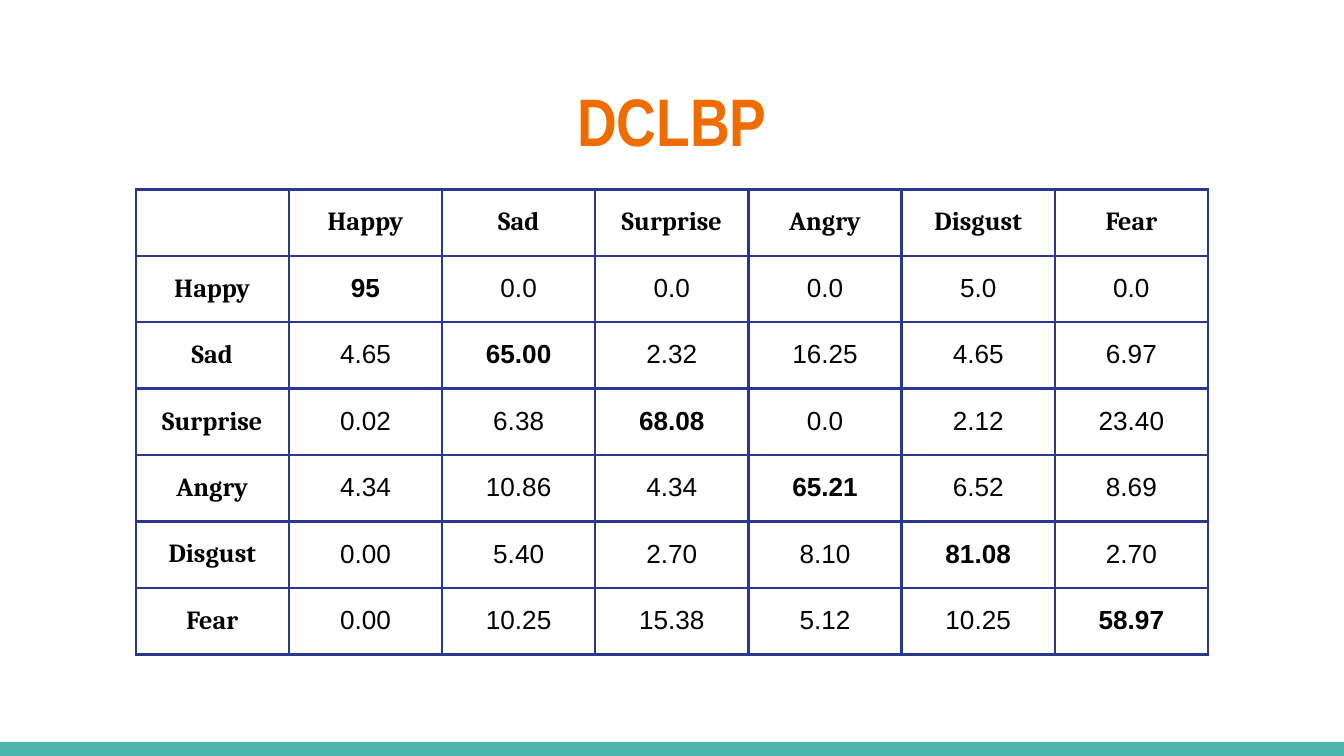
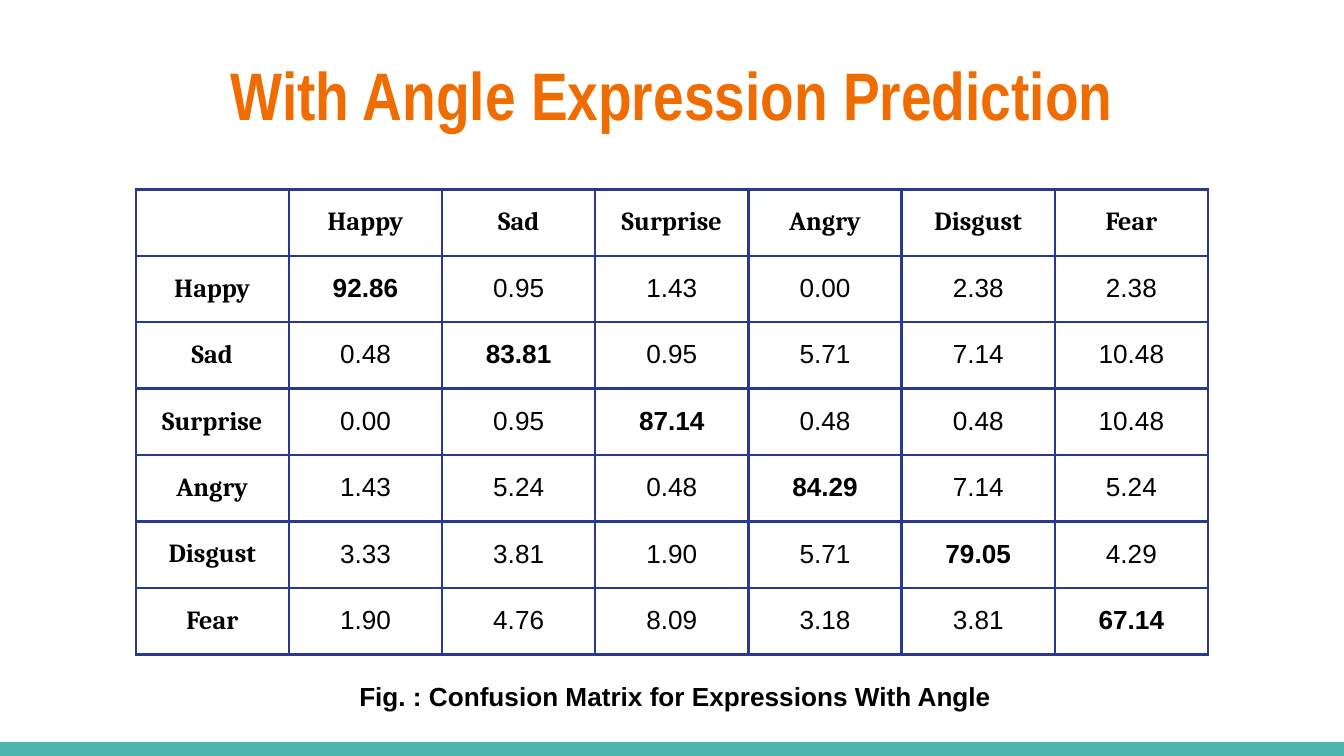
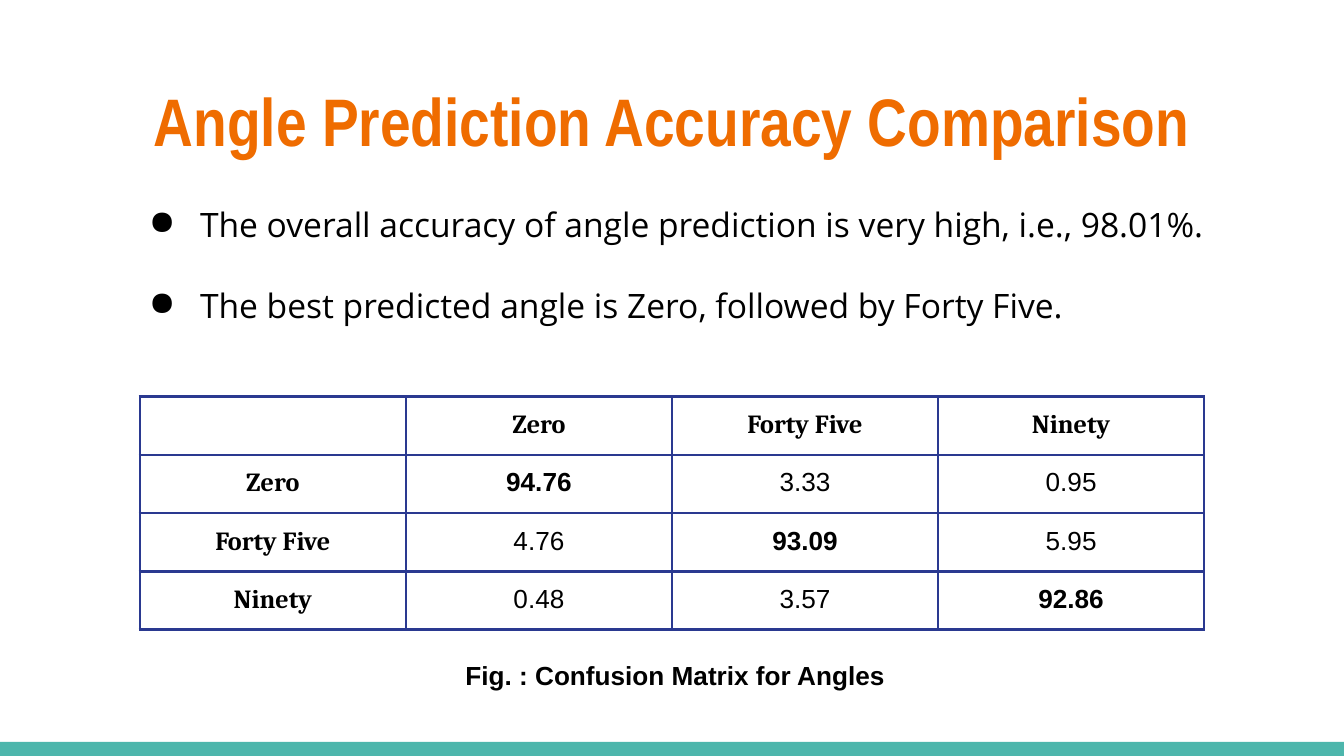
from dataclasses import dataclass

from lxml import etree
from pptx import Presentation
from pptx import util as u
from pptx.dml.color import RGBColor
from pptx.enum import shapes, text
from pptx.oxml.ns import qn

ORANGE, TEAL, NAVY, BLACK = "EF6C00", "4DB6AC", "2A3990", "000000"
EMOTIONS = ["Happy", "Sad", "Surprise", "Angry", "Disgust", "Fear"]
ANGLES = ["Zero", "Forty Five", "Ninety"]


@dataclass
class Box:
    left: float
    top: float
    width: float
    height: float

    def lengths(self) -> list:
        return [u.Inches(side) for side in (self.left, self.top, self.width, self.height)]


@dataclass
class Matrix:
    labels: list[str]
    values: str
    area: Box
    line_spacing: float = 1.0


def color(value: str) -> RGBColor:
    return RGBColor.from_string(value)


def write(frame, content: str, *, size: float = 14, font: str = "Arial", fill: str = BLACK,
          bold: bool = False, align=text.PP_ALIGN.CENTER, spacing: float = 1.0,
          before: float = 0, bullet: str = "", new: bool = False) -> None:
    para = frame.add_paragraph() if new else frame.paragraphs[0]
    para.alignment = align
    para.line_spacing = spacing
    para.space_before = u.Pt(before)
    if bullet:
        properties = para._p.get_or_add_pPr()
        properties.set("marL", str(u.Inches(0.5)))
        properties.set("indent", str(u.Inches(-0.38)))
        etree.SubElement(properties, qn("a:buSzPts")).set("val", "1400")
        etree.SubElement(properties, qn("a:buChar")).set("char", bullet)
    if not content:
        etree.SubElement(para._p, qn("a:endParaRPr")).set("sz", str(size * 100))
        return
    span = para.add_run()
    span.text = content
    span.font.size = u.Pt(size)
    span.font.name = font
    span.font.bold = bold
    span.font.color.rgb = color(fill)


def set_insets(holder) -> None:
    for side in ("left", "right", "top", "bottom"):
        setattr(holder, f"margin_{side}", u.Inches(0.1))


def add_band(page, layout) -> None:
    band = page.shapes.add_shape(shapes.MSO_SHAPE.RECTANGLE, *Box(0, 5.52, 10, 0.11).lengths())
    band.shadow.inherit = False
    band.fill.solid()
    band.fill.fore_color.rgb = color(TEAL)
    band.line.fill.background()
    band.element.nvSpPr.cNvPr.set("id", "20")
    layout.shapes.element.append(band.element)


def add_page(deck, title: str, box: Box):
    page = deck.slides.add_slide(deck.slide_layouts.get_by_name("Title Only"))
    holder = page.shapes.title
    holder.left, holder.top, holder.width, holder.height = box.lengths()
    frame = holder.text_frame
    set_insets(frame)
    frame.auto_size = text.MSO_AUTO_SIZE.NONE
    frame.vertical_anchor = text.MSO_ANCHOR.TOP
    write(frame, title, size=36, font="Arial Narrow", fill=ORANGE, bold=True)
    return page


def add_text_box(page, box: Box):
    frame = page.shapes.add_textbox(*box.lengths()).text_frame
    frame.word_wrap = True
    set_insets(frame)
    return frame


def add_caption(page, content: str, top: float, height: float) -> None:
    write(add_text_box(page, Box(0.9, top, 8.25, height)), content, bold=True)


def add_borders(cell) -> None:
    properties = cell._tc.get_or_add_tcPr()
    for side in ("lnL", "lnR", "lnT", "lnB"):
        line = etree.SubElement(properties, qn(f"a:{side}"), w=str(u.Pt(1.5)))
        solid = etree.SubElement(line, qn("a:solidFill"))
        etree.SubElement(solid, qn("a:srgbClr"), val=NAVY)


def add_matrix(page, matrix: Matrix) -> None:
    rows = [["", *matrix.labels]]
    for label, line in zip(matrix.labels, matrix.values.strip().splitlines()):
        rows.append([label, *line.split()])
    count = len(rows)
    table = page.shapes.add_table(count, count, *matrix.area.lengths()).table
    table.first_row = table.horz_banding = False
    for index in range(count):
        table.columns[index].width = u.Inches(matrix.area.width / count)
        table.rows[index].height = u.Inches(matrix.area.height / count)
    for row, values in enumerate(rows):
        for column, value in enumerate(values):
            cell = table.cell(row, column)
            set_insets(cell)
            add_borders(cell)
            cell.fill.background()
            heading = row == 0 or column == 0
            write(cell.text_frame, value, font="Cambria" if heading else "Arial",
                  bold=heading or row == column, spacing=matrix.line_spacing)


def add_emotions(page, values: str) -> None:
    add_matrix(page, Matrix(EMOTIONS, values, Box(1.01, 1.41, 7.98, 3.46), 1.15))


def build_dclbp(deck):
    page = add_page(deck, "DCLBP", Box(0.34, 0.49, 9.32, 0.77))
    add_emotions(page, """
95 0.0 0.0 0.0 5.0 0.0
4.65 65.00 2.32 16.25 4.65 6.97
0.02 6.38 68.08 0.0 2.12 23.40
4.34 10.86 4.34 65.21 6.52 8.69
0.00 5.40 2.70 8.10 81.08 2.70
0.00 10.25 15.38 5.12 10.25 58.97
""")
    return page


def build_expressions(deck) -> None:
    page = add_page(deck, "With Angle Expression Prediction", Box(0.34, 0.3, 9.32, 0.82))
    add_emotions(page, """
92.86 0.95 1.43 0.00 2.38 2.38
0.48 83.81 0.95 5.71 7.14 10.48
0.00 0.95 87.14 0.48 0.48 10.48
1.43 5.24 0.48 84.29 7.14 5.24
3.33 3.81 1.90 5.71 79.05 4.29
1.90 4.76 8.09 3.18 3.81 67.14
""")
    add_caption(page, "Fig. : Confusion Matrix for Expressions With Angle", 4.96, 0.37)


def build_angles(deck) -> None:
    page = add_page(deck, "Angle Prediction Accuracy Comparison", Box(0.34, 0.49, 9.32, 0.77))
    add_caption(page, "Fig. : Confusion Matrix for Angles", 4.81, 0.42)
    findings = add_text_box(page, Box(0.89, 1.42, 8.27, 1.34))
    for index, finding in enumerate([
        "The overall accuracy of angle prediction is very high, i.e., 98.01%.",
        "The best predicted angle is Zero, followed by Forty Five.",
    ]):
        write(findings, finding, size=18, font="Open Sans", align=text.PP_ALIGN.LEFT,
              before=21.7 * index, bullet="●", new=index > 0)
    add_matrix(page, Matrix(ANGLES, """
94.76 3.33 0.95
4.76 93.09 5.95
0.48 3.57 92.86
""", Box(1.04, 2.95, 7.92, 1.24)))


def main() -> None:
    deck = Presentation()
    deck.slide_width = u.Inches(10)
    deck.slide_height = u.Inches(10 * 9 / 16)
    first = build_dclbp(deck)
    add_band(first, first.slide_layout)
    build_expressions(deck)
    build_angles(deck)
    deck.save("out.pptx")


if __name__ == "__main__":
    main()
